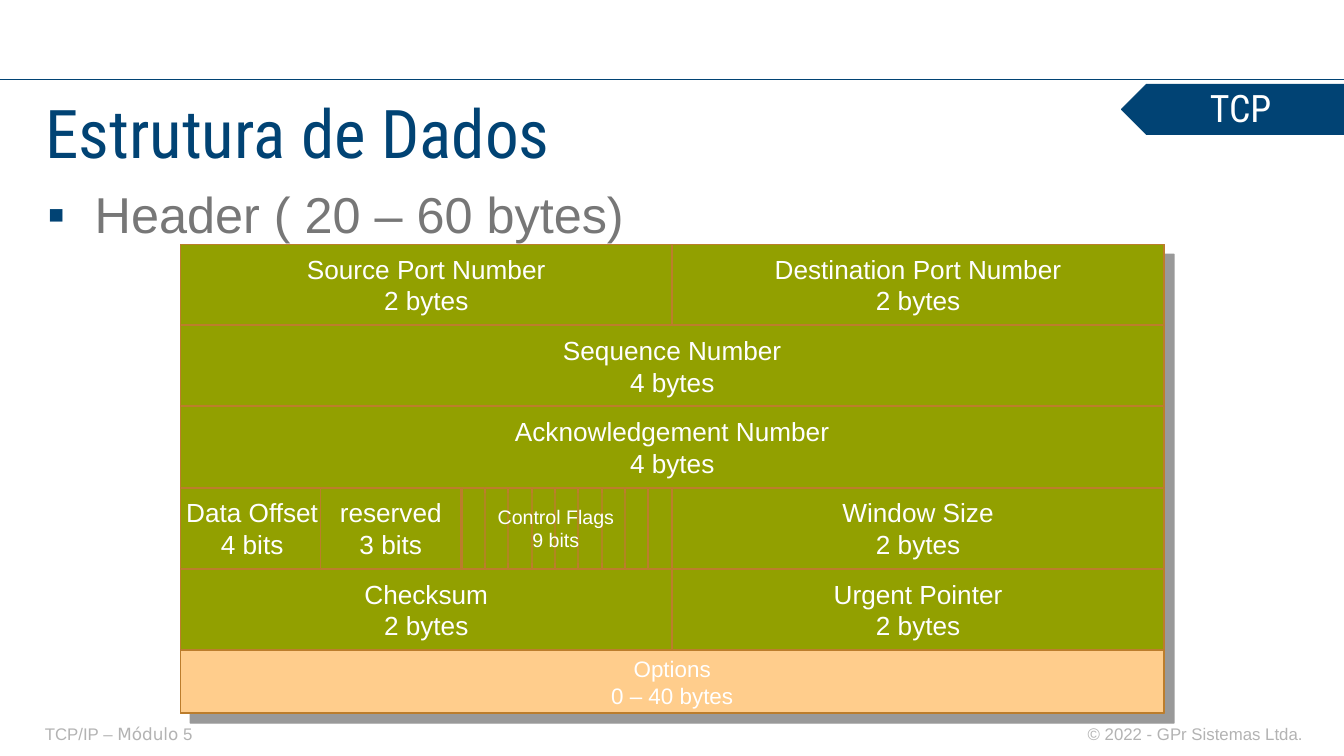
from lxml import etree
from pptx import Presentation
from pptx.dml.color import RGBColor
from pptx.enum.shapes import MSO_CONNECTOR, MSO_SHAPE
from pptx.enum.text import MSO_ANCHOR, PP_ALIGN
from pptx.oxml.ns import qn
from pptx.util import Inches, Pt

LEFT, CENTER, RIGHT = PP_ALIGN.LEFT, PP_ALIGN.CENTER, PP_ALIGN.RIGHT
MIDDLE, TOP = MSO_ANCHOR.MIDDLE, MSO_ANCHOR.TOP
RECTANGLE, TAG_ARROW = MSO_SHAPE.RECTANGLE, MSO_SHAPE.PENTAGON
STRAIGHT = MSO_CONNECTOR.STRAIGHT
COLORS = {
    "navy": "014374", "gray": "777777", "footer": "B3B3B3", "white": "FFFFFF",
    "olive": "92A000", "border": "BC7D2C", "orange": "FFAB40", "peach": "FFCD8C",
}


def rgb(name):
    return RGBColor.from_string(COLORS[name])


def write(shape, lines, size, color="white", font="Arial", align=CENTER,
          anchor=MIDDLE, margin=0.0):
    """Fill the shape with one paragraph per line; a line is a list of (text, font) or a string."""
    frame = shape.text_frame
    settings = {"word_wrap": True, "vertical_anchor": anchor}
    settings.update({f"margin_{side}": Inches(margin)
                     for side in ("left", "top", "right", "bottom")})
    for name, value in settings.items():
        setattr(frame, name, value)
    for i, line in enumerate(lines):
        paragraph = frame.paragraphs[0] if i == 0 else frame.add_paragraph()
        paragraph.alignment = align
        for text, face in [(line, font)] if isinstance(line, str) else line:
            run = paragraph.add_run()
            run.text = text
            run.font.color.rgb = rgb(color)
            for name, value in {"size": Pt(size), "name": face}.items():
                setattr(run.font, name, value)


prs = Presentation()
prs.slide_width, prs.slide_height = Inches(26.67), Inches(15)
slide = prs.slides.add_slide(prs.slide_layouts[6])
shapes = slide.shapes

# Rule below the top margin
rule = shapes.add_connector(STRAIGHT, 0, Inches(1.58), Inches(26.67), Inches(1.58))
rule.line.color.rgb = rgb("navy")
rule.line.width = Pt(2)
etree.SubElement(rule._element.spPr, qn("a:effectLst"))

# Footer, title, topic and tag label: box, lines, format
texts = [
    ((20.58, 14.29, 5.33, 0.52), ["© 2022 - GPr Sistemas Ltda."],
     {"size": 24, "color": "footer", "align": RIGHT, "margin": 0.06}),
    ((0.83, 14.29, 19.08, 0.52),
     [[("TCP/IP – ", "Arial"), ("Módulo", "DejaVu Sans"), (" 5", "Arial")]],
     {"size": 24, "color": "footer", "align": LEFT, "margin": 0.06}),
    ((0.84, 1.75, 25.01, 1.8), ["Estrutura de Dados"],
     {"size": 96, "color": "navy", "font": "Roboto Condensed", "align": LEFT,
      "anchor": TOP, "margin": 0.06}),
    ((0.84, 3.3, 25.01, 1.6), ["Header ( 20 – 60 bytes)"],
     {"size": 72, "color": "gray", "align": LEFT, "anchor": TOP, "margin": 0.1}),
]
for box, lines, style in texts:
    topic = shapes.add_textbox(*map(Inches, box))
    write(topic, lines, **style)

# Square bullet on the topic, the last of the texts
topic_line = topic.text_frame.paragraphs[0]
topic_props = topic_line._p.get_or_add_pPr()
topic_props.set("marL", str(Inches(0.94)))
topic_props.set("indent", str(-Inches(0.94)))
bullet_color = etree.SubElement(topic_props, qn("a:buClr"))
etree.SubElement(bullet_color, qn("a:srgbClr"), val=COLORS["navy"])
etree.SubElement(topic_props, qn("a:buFont"), typeface="Arial")
etree.SubElement(topic_props, qn("a:buChar"), char="▪")
topic_line.line_spacing = 1.2

# TCP header layout: left, top, width, height, fill, lines, text size
header_left, header_top, header_width = 3.58, 4.85, 19.52
half = header_width / 2
middle = header_left + half
row_pitch, row_height = 1.61, 1.6
rows = [header_top + row_pitch * i for i in range(5)]
flag_left, flag_pitch, flag_width = 9.17, 0.4625, 0.45

fields = [(header_left, header_top, header_width, 9.3, "orange", [], 0)]
for left, row, width, name, length in [
    (middle, 0, half, "Destination Port Number", "2 bytes"),
    (header_left, 1, header_width, "Sequence Number", "4 bytes"),
    (header_left, 2, header_width, "Acknowledgement Number", "4 bytes"),
    (header_left, 0, half, "Source Port Number", "2 bytes"),
    (middle, 4, half, "Urgent Pointer", "2 bytes"),
    (header_left, 4, half, "Checksum", "2 bytes"),
    (middle, 3, half, "Window Size", "2 bytes"),
    (header_left, 3, 2.85, "Data Offset", "4 bits"),
    (6.36, 3, 2.79, "reserved", "3 bits"),
]:
    fields.append((left, rows[row], width, row_height, "olive", [name, length], 37.4))
fields.append((header_left, 12.91, header_width, 1.24, "peach",
               ["Options", "0 – 40 bytes"], 32))
for i in range(9):
    fields.append((flag_left + flag_pitch * i, rows[3], flag_width, row_height,
                   "olive", [], 0))
fields.append((9.6, 9.79, 2.86, 1.38, "olive", ["Control Flags", "9 bits"], 28))

for *box, fill, lines, size in fields:
    field = shapes.add_shape(RECTANGLE, *map(Inches, box))
    field.shadow.inherit = False
    field.fill.solid()
    field.fill.fore_color.rgb = rgb(fill)
    field.line.color.rgb = rgb("border")
    field.line.width = Pt(2)
    if lines:
        write(field, lines, size)
    if fill == "orange":
        effects = field._element.spPr.find(qn("a:effectLst"))
        shadow = etree.SubElement(effects, qn("a:outerShdw"), dist=str(Pt(20)),
                                  dir="2700000", algn="tl", rotWithShape="0")
        shade = etree.SubElement(shadow, qn("a:srgbClr"), val="000000")
        etree.SubElement(shade, qn("a:alpha"), val="40000")

# The flags caption, last of the fields, lets the flag cells show through
field.line.fill.background()
caption_color = field._element.spPr.find(qn("a:solidFill")).find(qn("a:srgbClr"))
etree.SubElement(caption_color, qn("a:alpha"), val="26000")

# Protocol tag at the right edge
tag = shapes.add_shape(TAG_ARROW, Inches(22.25), Inches(1.67), Inches(4.5), Inches(1))
tag.rotation = 180
tag.shadow.inherit = False
tag.fill.solid()
tag.fill.fore_color.rgb = rgb("navy")
tag.line.color.rgb = rgb("navy")
tag.line.width = Pt(1)
tag_label = shapes.add_textbox(Inches(22.98), Inches(1.63), Inches(3.28), Inches(1.02))
write(tag_label, ["TCP"], 54, font="Roboto Condensed", margin=0.06)

prs.save("out.pptx")
